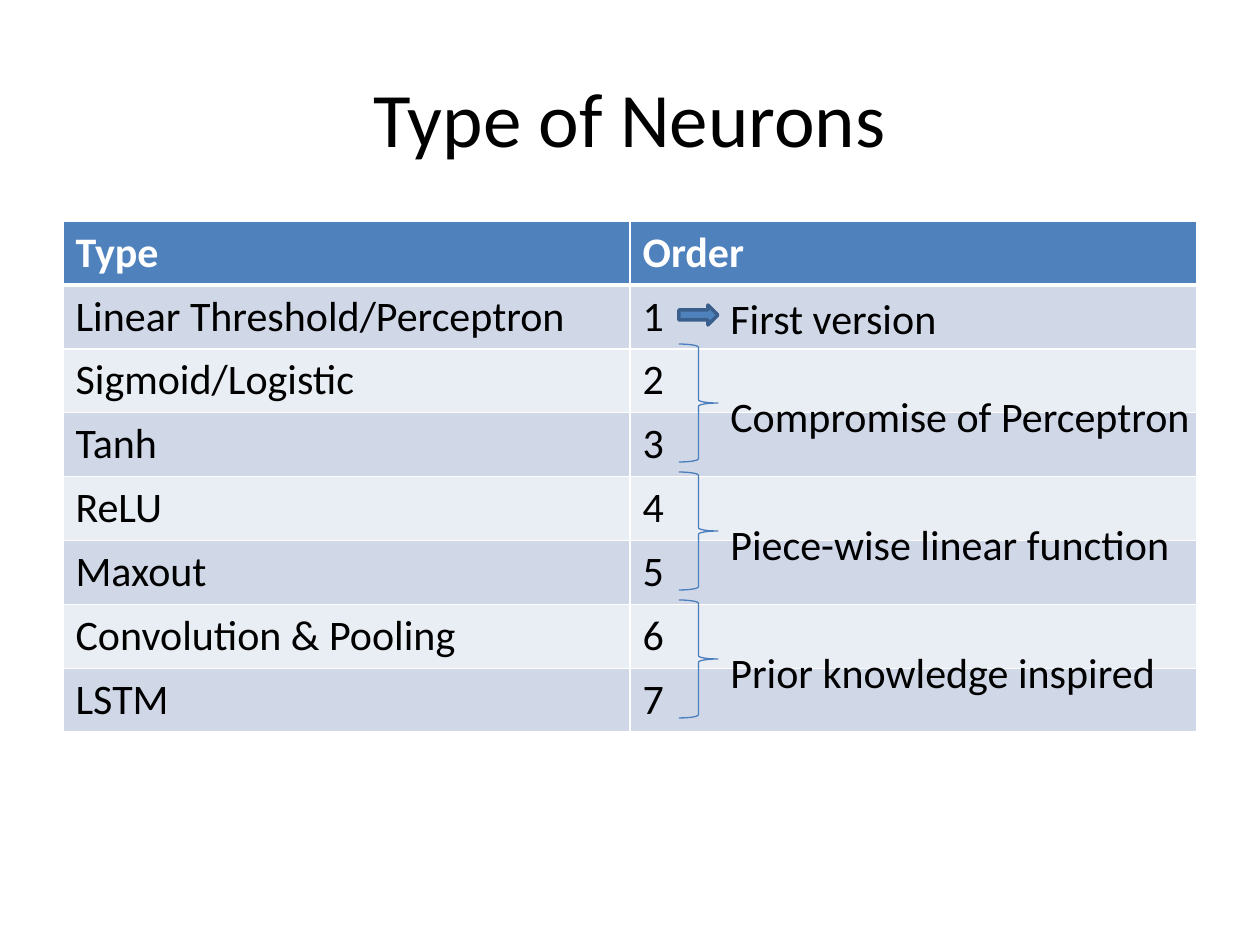
from lxml import etree
from pptx import Presentation
from pptx.dml.color import RGBColor
from pptx.enum.shapes import MSO_SHAPE
from pptx.enum.text import MSO_ANCHOR, MSO_AUTO_SIZE, PP_ALIGN
from pptx.oxml.ns import qn
from pptx.util import Pt

BRACE = MSO_SHAPE.RIGHT_BRACE
ARROW = MSO_SHAPE.RIGHT_ARROW
MIDDLE = MSO_ANCHOR.MIDDLE
GROW = MSO_AUTO_SIZE.SHAPE_TO_FIT_TEXT
LEFT, CENTER = PP_ALIGN.LEFT, PP_ALIGN.CENTER

DPI = 126
SCALE = 914400 / DPI
BLUE, WHITE, BLACK = "4F81BD", "FFFFFF", "000000"
BANDS = ("E9EDF4", "D0D8E8")


def px(n):
    return round(n * SCALE)


def color(code):
    return RGBColor.from_string(code)


def write(frame, text, size=24, ink=BLACK, bold=False, align=LEFT):
    para = frame.paragraphs[0]
    para.alignment = align
    run = para.add_run()
    run.text = text
    font = run.font
    font.name, font.size, font.bold = "Calibri", Pt(size), bold
    font.color.rgb = color(ink)


def border(cell, side, width):
    line = etree.SubElement(cell._tc.get_or_add_tcPr(), qn("a:ln" + side),
                            w=str(Pt(width)))
    fill = etree.SubElement(line, qn("a:solidFill"))
    etree.SubElement(fill, qn("a:srgbClr"), val=WHITE)


class Deck:
    def __init__(self):
        self.file = Presentation()
        self.file.slide_width = px(10 * DPI)
        self.file.slide_height = px(750 * DPI // 100)
        self.slide = self.file.slides.add_slide(self.file.slide_layouts[5])

    def title(self, text, *box):
        shape = self.slide.shapes.title
        shape.left, shape.top, shape.width, shape.height = map(px, box)
        shape.text_frame.vertical_anchor = MIDDLE
        write(shape.text_frame, text, size=44, align=CENTER)

    def table(self, rows, left, top, width, step):
        frame = self.slide.shapes.add_table(
            len(rows), len(rows[0]), px(left), px(top), px(width),
            px(step * len(rows)))
        for i, row in enumerate(rows):
            head = i == 0
            for j, text in enumerate(row):
                cell = frame.table.cell(i, j)
                # Borders come before the fill in the cell's XML
                border(cell, "L", 1)
                border(cell, "R", 1)
                border(cell, "T", 3 if i == 1 else 1)
                border(cell, "B", 3 if head else 1)
                cell.fill.solid()
                cell.fill.fore_color.rgb = color(BLUE if head else BANDS[i % 2])
                write(cell.text_frame, text, bold=head,
                      ink=WHITE if head else BLACK)

    def shape(self, kind, *box, line, weight, fill=None):
        item = self.slide.shapes.add_shape(kind, *map(px, box))
        item.shadow.inherit = False
        if fill:
            item.fill.solid()
            item.fill.fore_color.rgb = color(fill)
        else:
            item.fill.background()
        item.line.color.rgb = color(line)
        item.line.width = Pt(weight)

    def label(self, text, *box):
        frame = self.slide.shapes.add_textbox(*map(px, box)).text_frame
        frame.word_wrap = False
        frame.auto_size = GROW
        write(frame, text)

    def save(self):
        self.file.save("out.pptx")


def main():
    deck = Deck()
    deck.title("Type of Neurons", 63, 38, 1134, 158)

    # Neuron types, numbered in order
    types = ["Linear Threshold/Perceptron", "Sigmoid/Logistic", "Tanh", "ReLU",
             "Maxout", "Convolution & Pooling", "LSTM"]
    rows = [("Type", "Order")]
    rows += [(name, str(n)) for n, name in enumerate(types, 1)]
    deck.table(rows, 63, 221, 1134, 63)

    # Note on the first type
    deck.shape(ARROW, 679, 305, 39, 20, line="3A5F8C", weight=2, fill=BLUE)
    deck.label("First version", 718, 286, 233, 63)

    # Notes on each pair of types
    notes = [("Compromise of Perceptron", 489),
             ("Piece-wise linear function", 469),
             ("Prior knowledge inspired", 454)]
    for i, (note, width) in enumerate(notes):
        top = 344 + 128 * i
        deck.shape(BRACE, 679, top, 39, 118, line="4B7EBC", weight=0.75)
        deck.label(note, 718, top + 40, width, 63)

    deck.save()


if __name__ == "__main__":
    main()
